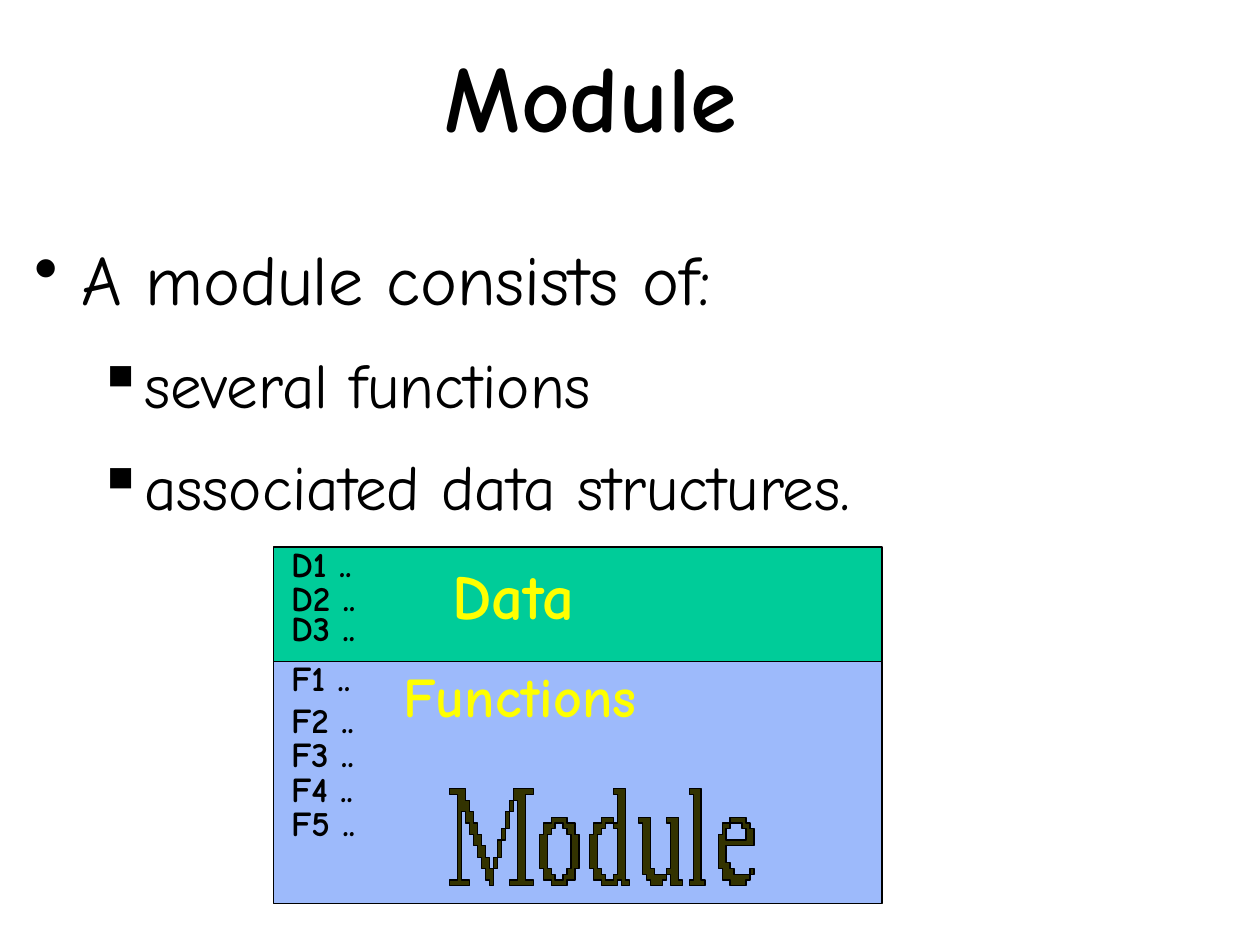
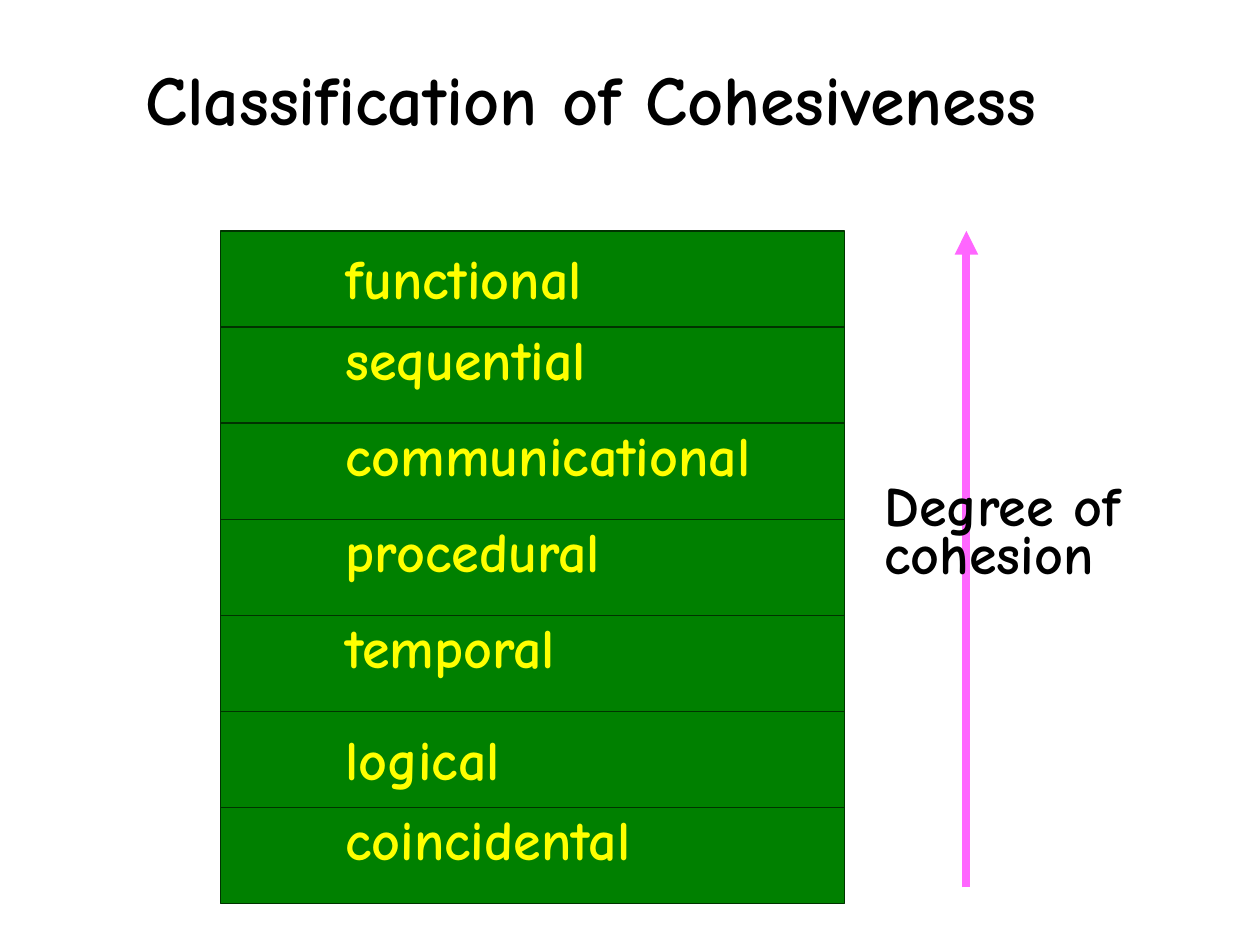
from dataclasses import dataclass
from typing import Any

import lxml.etree
import pptx
import pptx.dml.color
import pptx.enum.shapes
import pptx.enum.text
import pptx.oxml
import pptx.oxml.ns
import pptx.util

Pt = pptx.util.Pt
FONT = "Comic Neue"
COLOURS = {
    "ink": "000000",
    "label": "FFFF00",
    "data": "00CC99",
    "functions": "9DBAFB",
    "lettering": "333300",
    "level": "008000",
    "level_edge": "003300",
    "arrow": "FF66FF",
}
TIGHT = {"line_spacing": 0.72}
LOOSE = {"line_spacing": 1.1}
TITLE = {"line_spacing": 0.85, "alignment": pptx.enum.text.PP_ALIGN.CENTER}


@dataclass(frozen=True)
class Area:
    left: float
    top: float
    width: float
    height: float

    def lengths(self) -> list[int]:
        return [Pt(v) for v in (self.left, self.top, self.width, self.height)]


@dataclass(frozen=True)
class Style:
    size: float
    colour: str
    bold: bool
    spacing: dict[str, Any]


@dataclass(frozen=True)
class Bullet:
    text: str
    symbol: str
    margin: float
    hanging: float
    size: float
    spacing: dict[str, Any]


@dataclass(frozen=True)
class Letter:
    left: float
    outlines: tuple[str, ...]


@dataclass(frozen=True)
class Level:
    name: str
    lift: float = 9


ENTRY = Style(20, "ink", True, TIGHT)
LEVEL_NAME = Style(32, "label", True, LOOSE)
TITLE_AREA = Area(31.68, 14.4, 612, 90)
DATA_AREA = Area(156.24, 312.48, 347.76, 65.52)
FUNCTIONS_AREA = Area(156.24, 378, 347.76, 138.24)
ENTRIES = {
    "D": (312.48, 331.92, 349.2),
    "F": (378, 401.76, 421.2, 441.36, 460.8),
}
SUB_SPACING = {"line_spacing": 1.1, "space_before": Pt(6), "space_after": Pt(4.5)}
BULLETS = [
    Bullet("A module consists of:", "•", 27, 27, 40,
           {"line_spacing": 1.1, "space_before": Pt(0), "space_after": Pt(5)}),
    Bullet("several functions", "▪", 58.5, 22.5, 36, SUB_SPACING),
    Bullet("associated data structures.", "▪", 58.5, 22.5, 36, SUB_SPACING),
]
LETTER_TOP = 450.72
LETTER_CELL = (2.27, 3.26)
LETTERS = [
    Letter(257.04, (
        "0 0 4 2 5 4 6 6 7 8 8 10 9 12 10 14 11 12 12 9 13 7 14 4 15 2 16 0 "
        "21 1 19 16 21 17 15 16 17 2 16 4 15 7 14 9 13 12 12 14 11 17 10 16 "
        "9 14 8 12 7 10 6 8 5 6 4 4 3 16 5 17 0 16 2 1",)),
    Letter(308.16, (
        "4 6 6 7 7 8 8 14 7 15 6 16 4 15 3 14 2 8 3 7",
        "3 5 7 6 9 8 10 14 9 16 7 17 3 16 1 14 0 8 1 6")),
    Letter(336.96, (
        "4 6 6 7 7 15 6 16 4 15 3 14 2 8 3 7",
        "6 0 9 16 10 17 8 16 7 17 3 16 1 14 0 8 1 6 3 5 6 6 7 1")),
    Letter(365.04, (
        "0 5 3 14 4 15 7 14 8 6 7 5 10 16 11 17 8 15 7 16 6 17 3 16 2 15 1 6",)),
    Letter(393.84, ("0 0 3 16 4 17 0 16 1 1",)),
    Letter(410.4, (
        "3 6 6 7 7 9 2 7",
        "3 5 7 6 8 7 9 10 2 13 3 14 4 15 8 14 9 15 8 16 7 17 3 16 1 14 0 8 1 6")),
]
LEVELS = [
    Level("functional", 0),
    Level("sequential"),
    Level("communicational"),
    Level("procedural"),
    Level("temporal"),
    Level("logical", 0),
    Level("coincidental"),
]
LEVEL_TOP = 132
LEVEL_HEIGHT = 54.9


def rgb(name: str) -> pptx.dml.color.RGBColor:
    return pptx.dml.color.RGBColor.from_string(COLOURS[name])


def apply(target: Any, values: dict[str, Any]) -> None:
    for name, value in values.items():
        setattr(target, name, value)


def paint(shape: Any, fill: str, line: str) -> None:
    shape.shadow.inherit = False
    shape.fill.solid()
    shape.fill.fore_color.rgb = rgb(fill)
    shape.line.color.rgb = rgb(line)
    shape.line.width = Pt(0.75)


def add_box(page: Any, area: Area, anchor: Any = pptx.enum.text.MSO_ANCHOR.TOP) -> Any:
    frame = page.shapes.add_textbox(*area.lengths()).text_frame
    apply(frame, {
        "word_wrap": True,
        "vertical_anchor": anchor,
        "margin_left": Pt(1.44),
        "margin_right": Pt(1.44),
        "margin_top": Pt(3.6),
        "margin_bottom": Pt(3.6),
    })
    return frame


def write(para: Any, text: str, style: Style) -> None:
    apply(para, style.spacing)
    para.text = text
    for span in para.runs:
        apply(span.font, {"name": FONT, "size": Pt(style.size), "bold": style.bold})
        span.font.color.rgb = rgb(style.colour)


def add_label(page: Any, area: Area, text: str, style: Style) -> None:
    write(add_box(page, area).paragraphs[0], text, style)


def add_title(page: Any, text: str, size: float) -> None:
    box = add_box(page, TITLE_AREA, pptx.enum.text.MSO_ANCHOR.MIDDLE)
    write(box.paragraphs[0], text, Style(size, "ink", True, TITLE))


def add_bullets(page: Any, area: Area, bullets: list[Bullet]) -> None:
    box = add_box(page, area)
    for index, bullet in enumerate(bullets):
        para = box.add_paragraph() if index else box.paragraphs[0]
        properties = para._p.get_or_add_pPr()
        properties.set("marL", str(Pt(bullet.margin)))
        properties.set("indent", str(-Pt(bullet.hanging)))
        mark = lxml.etree.SubElement(properties, pptx.oxml.ns.qn("a:buChar"))
        mark.set("char", bullet.symbol)
        write(para, bullet.text, Style(bullet.size, "ink", False, bullet.spacing))


def add_panel(page: Any, area: Area, fill: str, line: str) -> None:
    kind = pptx.enum.shapes.MSO_SHAPE.RECTANGLE
    paint(page.shapes.add_shape(kind, *area.lengths()), fill, line)


def corners(outline: str) -> list[tuple[int, int]]:
    numbers = [int(number) for number in outline.split()]
    columns, rows = numbers[::2], numbers[1::2]
    following = columns[1:] + columns[:1]
    return [point for here, row, after in zip(columns, rows, following)
            for point in ((here, row), (after, row))]


def add_letter(page: Any, letter: Letter) -> None:
    contours = [corners(outline) for outline in letter.outlines]
    scale = tuple(Pt(side) for side in LETTER_CELL)
    builder = page.shapes.build_freeform(*contours[0][0], scale=scale)
    for index, contour in enumerate(contours):
        if index:
            builder.move_to(*contour[0])
        builder.add_line_segments(contour[1:], close=True)
    shape = builder.convert_to_shape(Pt(letter.left), Pt(LETTER_TOP))
    paint(shape, "lettering", "ink")


def add_arrow(page: Any, x: float, start: float, end: float) -> None:
    arrow = page.shapes.add_connector(
        pptx.enum.shapes.MSO_CONNECTOR.STRAIGHT, Pt(x), Pt(start), Pt(x), Pt(end))
    arrow.line.color.rgb = rgb("arrow")
    arrow.line.width = Pt(4.5)
    tip = lxml.etree.SubElement(arrow.line._get_or_add_ln(), pptx.oxml.ns.qn("a:tailEnd"))
    tip.set("type", "triangle")
    lxml.etree.SubElement(arrow._element.spPr, pptx.oxml.ns.qn("a:effectLst"))


def build_module(page: Any) -> None:
    add_title(page, "Module", 54)
    add_bullets(page, Area(18, 126, 689.76, 329.76), BULLETS)
    add_panel(page, DATA_AREA, "data", "ink")
    add_panel(page, FUNCTIONS_AREA, "functions", "ink")
    for letter in LETTERS:
        add_letter(page, letter)
    add_label(page, Area(257.04, 325.44, 219.6, 38.88), "Data",
              Style(36, "label", True, TIGHT))
    add_label(page, Area(228.96, 384.48, 247.68, 38.88), "Functions",
              Style(32, "label", True, TIGHT))
    for prefix, tops in ENTRIES.items():
        for number, top in enumerate(tops, 1):
            add_label(page, Area(164.88, top, 72.72, 28.8), f"{prefix}{number} ..", ENTRY)


def build_cohesiveness(page: Any) -> None:
    add_title(page, "Classification of Cohesiveness", 40)
    tops = [LEVEL_TOP + index * LEVEL_HEIGHT for index in range(len(LEVELS))]
    for top in tops:
        add_panel(page, Area(126, top, 356.4, LEVEL_HEIGHT), "level", "level_edge")
    for level, top in zip(LEVELS, tops):
        area = Area(195.84, top - level.lift, 303.84, LEVEL_HEIGHT)
        add_label(page, area, level.name, LEVEL_NAME)
    add_arrow(page, 552.24, 506.88, LEVEL_TOP)
    add_label(page, Area(504, 275.04, 209.52, 54.72), "Degree of\vcohesion",
              Style(32, "ink", True, TIGHT))


def main() -> None:
    deck = pptx.Presentation()
    apply(deck, {"slide_width": Pt(720), "slide_height": Pt(540)})
    for build in (build_module, build_cohesiveness):
        build(deck.slides.add_slide(deck.slide_layouts[6]))
    deck.save("out.pptx")


if __name__ == "__main__":
    main()
